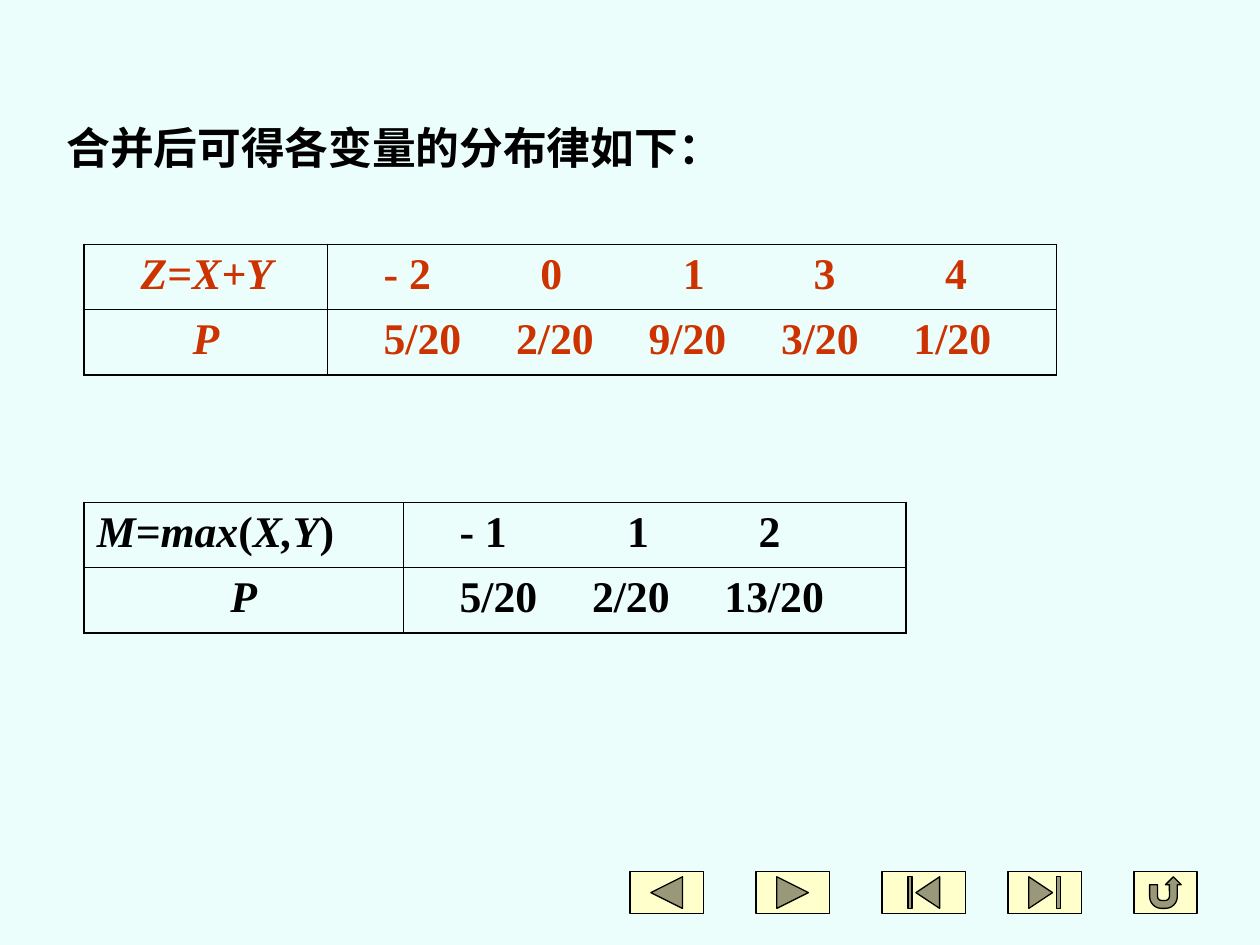
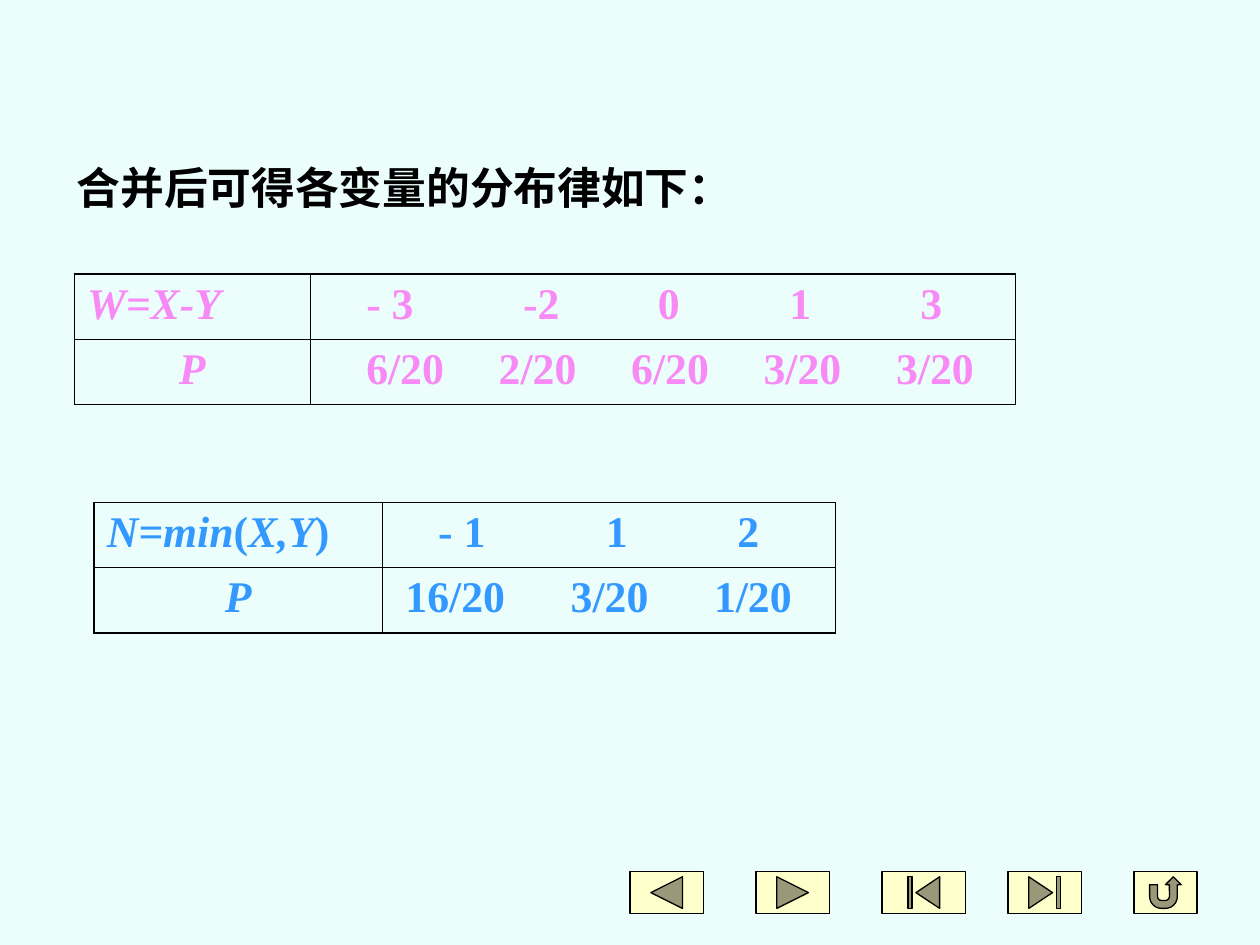
from itertools import groupby

from lxml import etree
from pptx import Presentation
from pptx.dml.color import RGBColor
from pptx.enum.shapes import MSO_SHAPE
from pptx.enum.text import PP_ALIGN
from pptx.oxml.ns import qn
from pptx.util import Cm, Pt

BUTTONS = [
    (MSO_SHAPE.ACTION_BUTTON_BACK_OR_PREVIOUS, 1.48),
    (MSO_SHAPE.ACTION_BUTTON_FORWARD_OR_NEXT, 1.48),
    (MSO_SHAPE.ACTION_BUTTON_BEGINNING, 1.69),
    (MSO_SHAPE.ACTION_BUTTON_END, 1.48),
    (MSO_SHAPE.ACTION_BUTTON_RETURN, 1.27),
]
LEFT, CENTER = PP_ALIGN.LEFT, PP_ALIGN.CENTER

FONT = "Times New Roman"
BACKGROUND = "ECFEFC"
BLACK = "000000"
BUTTON_FILL = "FFFFCC"
HEADING = "合并后可得各变量的分布律如下："
ROW_HEIGHT = 1.31
OUTER_LINE, INNER_LINE = 1.08, 0.45
EVEN_STOPS = [round(0.88 + 2.67 * index, 2) for index in range(5)]

SLIDES = [
    {
        "heading": (1.09, 2.31),
        "tables": [
            {
                "box": (1.7, 4.93), "columns": (4.9, 14.7), "color": "CC3300",
                "variable": "Z=X+Y", "indent": 0.88,
                "values": ["- 2", "0", "1", "3", "4"],
                "value_stops": [0.88, 4.04, 6.91, 9.55, 12.2],
                "chances": ["5/20", "2/20", "9/20", "3/20", "1/20"],
                "chance_stops": EVEN_STOPS,
            },
            {
                "box": (1.7, 10.13), "columns": (6.43, 10.13), "color": BLACK,
                "variable": "M=max(X,Y)", "indent": 0,
                "values": ["- 1", "1", "2"],
                "value_stops": [0.88, 4.26, 6.91],
                "chances": ["5/20", "2/20", "13/20"],
                "chance_stops": EVEN_STOPS,
            },
        ],
    },
    {
        "heading": (1.3, 3.12),
        "tables": [
            {
                "box": (1.5, 5.53), "columns": (4.75, 14.22), "color": "F88AF5",
                "variable": "W=X-Y", "indent": 0,
                "values": ["- 3", "-2", "0", "1", "3"],
                "value_stops": [0.88, 4.04, 6.76, 9.41, 12.05],
                "chances": ["6/20", "2/20", "6/20", "3/20", "3/20"],
                "chance_stops": EVEN_STOPS,
            },
            {
                "box": (1.9, 10.13), "columns": (5.8, 9.14), "color": "3399FF",
                "variable": "N=min(X,Y)", "indent": 0,
                "values": ["- 1", "1", "2"],
                "value_stops": [0.88, 4.26, 6.91],
                "chances": ["16/20", "3/20", "1/20"],
                "chance_stops": [0.22, 3.55, 6.44],
            },
        ],
    },
]


def rgb(color):
    return RGBColor.from_string(color)


def write_text(paragraph, text, color=BLACK, italic=False, alignment=LEFT):
    paragraph.alignment = alignment
    run = paragraph.add_run()
    run.text = text
    font = run.font
    font.name, font.size, font.bold, font.italic = FONT, Pt(25), True, italic
    font.color.rgb = rgb(color)


def write_variable(paragraph, variable, color, indent):
    paragraph._p.get_or_add_pPr().set("marL", str(Cm(indent)))
    for upright, characters in groupby(variable, lambda character: character in "()"):
        write_text(paragraph, "".join(characters), color=color, italic=not upright)


def write_row(paragraph, entries, stops, color):
    tab_list = etree.SubElement(paragraph._p.get_or_add_pPr(), qn("a:tabLst"))
    for stop in stops[:len(entries)]:
        etree.SubElement(tab_list, qn("a:tab"), pos=str(Cm(stop)), algn="l")
    write_text(paragraph, "".join("\t" + entry for entry in entries), color=color)


def set_borders(cell, row, column):
    properties = cell._tc.get_or_add_tcPr()
    outer_sides = {"L": column == 0, "R": column == 1, "T": row == 0, "B": row == 1}
    for side, outer in outer_sides.items():
        width = Pt(OUTER_LINE if outer else INNER_LINE)
        line = etree.SubElement(properties, qn(f"a:ln{side}"), w=str(width))
        fill = etree.SubElement(line, qn("a:solidFill"))
        etree.SubElement(fill, qn("a:srgbClr"), val=BLACK)


def add_distribution(slide, content):
    left, top = content["box"]
    columns, color = content["columns"], content["color"]
    table = slide.shapes.add_table(
        2, 2, Cm(left), Cm(top), Cm(sum(columns)), Cm(2 * ROW_HEIGHT)
    ).table
    table.first_row = table.horz_banding = False
    for index, width in enumerate(columns):
        table.columns[index].width = Cm(width)
        table.rows[index].height = Cm(ROW_HEIGHT)
    for row in range(2):
        for column in range(2):
            cell = table.cell(row, column)
            set_borders(cell, row, column)
            cell.fill.background()
    variable, values, chance_label, chances = (
        cell.text_frame.paragraphs[0] for cell in table.iter_cells()
    )
    write_variable(variable, content["variable"], color, content["indent"])
    write_row(values, content["values"], content["value_stops"], color)
    write_text(chance_label, "P", color=color, italic=True, alignment=CENTER)
    write_row(chances, content["chances"], content["chance_stops"], color)


def add_heading(slide, left, top):
    box = slide.shapes.add_textbox(Cm(left), Cm(top), Cm(13.77), Cm(1.31))
    box.text_frame.word_wrap = False
    write_text(box.text_frame.paragraphs[0], HEADING)


def add_navigation(slide, left, top, pitch):
    for index, (button, width) in enumerate(BUTTONS):
        shape = slide.shapes.add_shape(
            button, Cm(left + index * pitch), Cm(top), Cm(width), Cm(0.85)
        )
        shape.shadow.inherit = False
        shape.fill.solid()
        shape.fill.fore_color.rgb = rgb(BUTTON_FILL)
        shape.line.color.rgb = rgb(BLACK)
        shape.line.width = Pt(0.75)


def add_slide(presentation, content):
    slide = presentation.slides.add_slide(presentation.slide_layouts[6])
    slide.background.fill.solid()
    slide.background.fill.fore_color.rgb = rgb(BACKGROUND)
    add_navigation(slide, 12.7, 17.57, 2.54)
    add_heading(slide, *content["heading"])
    for table in content["tables"]:
        add_distribution(slide, table)


def main():
    presentation = Presentation()
    presentation.slide_width, presentation.slide_height = Cm(25.4), Cm(19.05)
    for content in SLIDES:
        add_slide(presentation, content)
    presentation.save("out.pptx")


if __name__ == "__main__":
    main()
